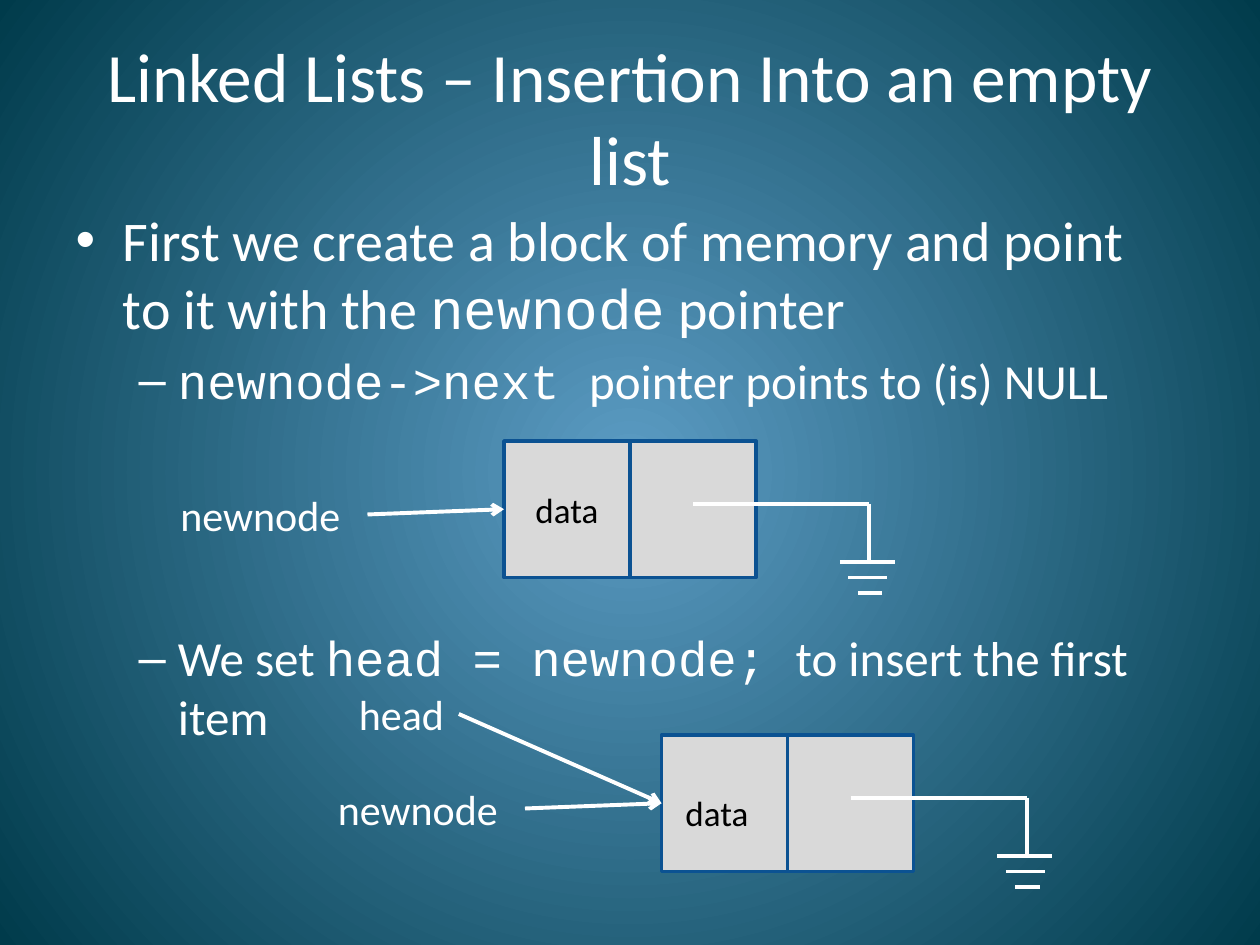
from lxml.etree import SubElement
from pptx import Presentation
from pptx.dml.color import RGBColor
from pptx.enum.shapes import MSO_CONNECTOR, MSO_SHAPE
from pptx.enum.text import MSO_ANCHOR, MSO_AUTO_SIZE, PP_ALIGN
from pptx.oxml.ns import qn
from pptx.util import Inches, Pt

WHITE = RGBColor(0xFF, 0xFF, 0xFF)
BLACK = RGBColor(0, 0, 0)
GREY = RGBColor(0xD9, 0xD9, 0xD9)
NAVY = RGBColor(0x0B, 0x52, 0x92)
GLOW = RGBColor(0x5C, 0x9C, 0xC4)
DEEP = RGBColor(0x00, 0x3B, 0x4B)
SANS, MONO = "Calibri", "Courier New"
CELLS_PER_INCH = 12


def grid(*cells):
    """Turn grid cells into slide lengths."""
    return [Inches(cell / CELLS_PER_INCH) for cell in cells]


class ListSlide:
    """Draw linked-list diagrams and their text on one slide."""

    def __init__(self, deck):
        self.slide = deck.slides.add_slide(deck.slide_layouts[1])
        self.shapes = self.slide.shapes

    def background(self, inner, outer):
        fill = self.slide.background.fill
        fill.gradient()
        for stop, color in zip(fill.gradient_stops, (inner, outer)):
            stop.color.rgb = color
        linear = self.slide.element.xpath(".//a:gradFill/a:lin")[0]
        gradient = linear.getparent()
        gradient.remove(linear)
        radial = SubElement(gradient, qn("a:path"), path="circle")
        SubElement(radial, qn("a:fillToRect"), l="50000", t="50000", r="50000", b="50000")

    def style(self, paragraph, size, color=WHITE, name=SANS):
        font = paragraph.font
        font.size, font.name, font.color.rgb = Pt(size), name, color

    def place(self, holder, *box):
        holder.left, holder.top, holder.width, holder.height = grid(*box)
        holder.text_frame.auto_size = MSO_AUTO_SIZE.NONE
        return holder.text_frame

    def title(self, words, *box):
        frame = self.place(self.shapes.title, *box)
        frame.text = words
        frame.vertical_anchor = MSO_ANCHOR.MIDDLE
        frame.paragraphs[0].alignment = PP_ALIGN.CENTER
        self.style(frame.paragraphs[0], 39.6)

    def body(self, points, *box):
        frame = self.place(self.slide.placeholders[1], *box)
        for index, (level, size, before, pieces) in enumerate(points):
            point = frame.add_paragraph() if index else frame.paragraphs[0]
            point.level = level
            self.style(point, size)
            if before:
                point.space_before = Pt(before)
            for words, name in pieces:
                run = point.add_run()
                run.text, run.font.name = words, name

    def label(self, words, *box, size=24, color=WHITE, wrap=False):
        frame = self.shapes.add_textbox(*grid(*box)).text_frame
        frame.word_wrap = wrap
        frame.auto_size = MSO_AUTO_SIZE.SHAPE_TO_FIT_TEXT
        frame.text = words
        self.style(frame.paragraphs[0], size, color)

    def line(self, *ends, parent=None, arrow=False):
        shapes = parent.shapes if parent else self.shapes
        stroke = shapes.add_connector(MSO_CONNECTOR.STRAIGHT, *grid(*ends))
        stroke.line.color.rgb, stroke.line.width = WHITE, Pt(2.25)
        if arrow:
            SubElement(stroke.line._get_or_add_ln(), qn("a:tailEnd"), type="arrow")
        SubElement(stroke.element.spPr, qn("a:effectLst"))

    def node(self, x, y, data=""):
        group = self.shapes.add_group_shape()
        for left, words in ((x, data), (x + 12, "")):
            field = group.shapes.add_shape(MSO_SHAPE.RECTANGLE, *grid(left, y, 12, 13))
            field.shadow.inherit = False
            field.fill.solid()
            field.fill.fore_color.rgb = GREY
            field.line.color.rgb, field.line.width = NAVY, Pt(2)
            if words:
                frame = field.text_frame
                frame.text = words
                frame.vertical_anchor = MSO_ANCHOR.MIDDLE
                frame.paragraphs[0].alignment = PP_ALIGN.CENTER
                self.style(frame.paragraphs[0], 20, BLACK)

    def null_pointer(self, x, y):
        group = self.shapes.add_group_shape()
        drop, ground = x + 16.8, y + 5.5
        self.line(x, y, drop, y, parent=group)
        self.line(drop, y, drop, ground, parent=group)
        for step, (start, end) in enumerate(((14, 19.2), (14.8, 18.5), (15.7, 18))):
            bar = ground + 1.5 * step
            self.line(x + start, bar, x + end, bar, parent=group)

    def new_node(self, x, y, data=""):
        self.node(x, y, data)
        self.line(x - 13, y + 7, x, y + 6.5, arrow=True)
        self.null_pointer(x + 18, y + 6)
        self.label("newnode", x - 32, y + 4, 17.9, 6)


deck = Presentation()
deck.slide_width, deck.slide_height = Inches(10), Inches(7.5)
insertion = ListSlide(deck)
insertion.background(GLOW, DEEP)
insertion.title("Linked Lists – Insertion Into an empty list", 6, 3.6, 108, 15)
insertion.body([
    (0, 32, None, [("First we create a block of memory and point to it with the ", SANS),
                   ("newnode", MONO), (" pointer", SANS)]),
    (1, 28, None, [("newnode->next ", MONO), ("pointer points to (is) NULL", SANS)]),
    (1, 28, 125, [("We set ", SANS), ("head = newnode; ", MONO),
                  ("to insert the first item", SANS)]),
], 6, 19, 108, 65)
insertion.new_node(48, 42, "data")
insertion.new_node(63, 70)
insertion.label("head", 33, 65, 10.7, 6)
insertion.line(43.7, 68, 63, 76.5, arrow=True)
insertion.label("data", 64.1, 74.8, 10, 5.3, size=20, color=BLACK, wrap=True)
deck.save("out.pptx")
